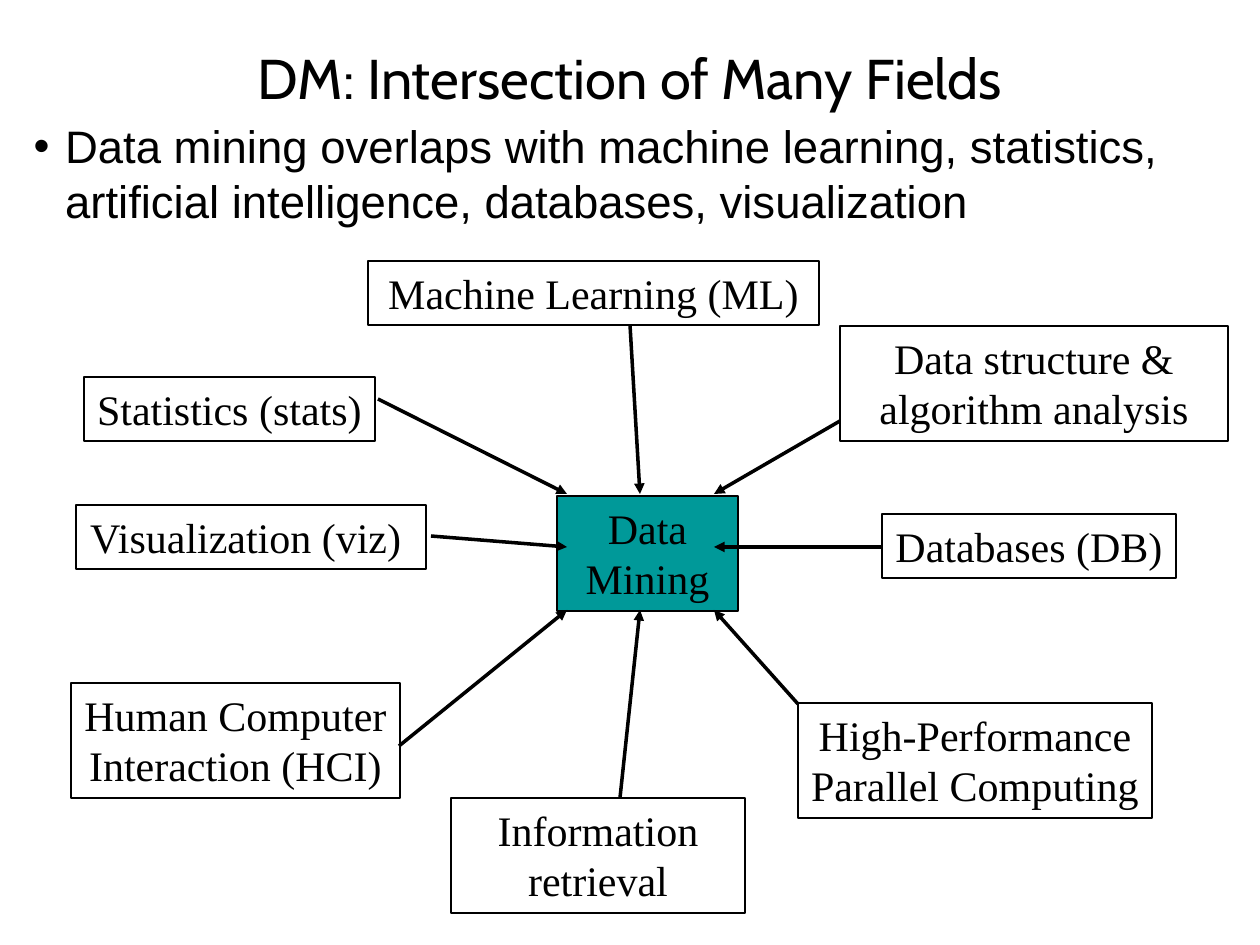
"""Build a slide showing data mining as the meeting point of many fields."""
from typing import NamedTuple, Optional

from lxml.etree import SubElement
from pptx import Presentation
from pptx.dml.color import RGBColor
from pptx.enum.shapes import MSO_CONNECTOR, MSO_SHAPE
from pptx.enum.text import MSO_ANCHOR, MSO_AUTO_SIZE, PP_ALIGN
from pptx.oxml.ns import qn
from pptx.util import Emu, Pt

PIXELS_PER_INCH = 126
BLACK = RGBColor(0x00, 0x00, 0x00)
TEAL = RGBColor(0x00, 0x99, 0x99)


class Box(NamedTuple):
    text: str
    left: int
    top: int
    width: int
    height: int
    wrap: bool = True
    fill: Optional[RGBColor] = None


class Arrow(NamedTuple):
    start_x: int
    start_y: int
    end_x: int
    end_y: int


ONE_LINE, TWO_LINES = 64, 115
HUB_LEFT, HUB_CENTER, HUB_RIGHT = 567, 640, 714
HUB_TOP, HUB_MIDDLE, HUB_BOTTOM = 494, 547, 610

BOXES = [
    Box("Data\nMining", 557, 496, 181, TWO_LINES, fill=TEAL),
    Box("Machine Learning (ML)", 368, 261, 451, ONE_LINE),
    Box("Databases (DB)", 882, 514, 294, ONE_LINE, wrap=False),
    Box("Statistics (stats)", 84, 377, 291, ONE_LINE, wrap=False),
    Box("Data structure & algorithm analysis", 840, 326, 388, TWO_LINES),
    Box("Human Computer\nInteraction (HCI)", 71, 683, 329, TWO_LINES, wrap=False),
    Box("Visualization (viz) ", 76, 505, 350, ONE_LINE, wrap=False),
    Box("High-Performance\nParallel Computing", 798, 703, 354, TWO_LINES, wrap=False),
    Box("Information retrieval", 451, 798, 294, TWO_LINES),
]

ARROWS = [
    Arrow(378, 399, HUB_LEFT, HUB_TOP),
    Arrow(431, 536, HUB_LEFT, HUB_MIDDLE),
    Arrow(399, 746, HUB_LEFT, HUB_BOTTOM),
    Arrow(630, 325, HUB_CENTER, HUB_TOP),
    Arrow(840, 421, HUB_RIGHT, HUB_TOP),
    Arrow(882, 547, HUB_RIGHT, HUB_MIDDLE),
    Arrow(798, 704, HUB_RIGHT, HUB_BOTTOM),
    Arrow(620, 798, HUB_CENTER, HUB_BOTTOM),
]


def px(length: int) -> Emu:
    return Emu(round(length * 914400 / PIXELS_PER_INCH))


def place(shape, left: int, top: int, width: int, height: int) -> None:
    shape.left, shape.top = px(left), px(top)
    shape.width, shape.height = px(width), px(height)


def format_text(text_frame, font_name: str, size: int, alignment: PP_ALIGN) -> None:
    for paragraph in text_frame.paragraphs:
        paragraph.alignment = alignment
        paragraph.space_before = Pt(0)
        for run in paragraph.runs:
            run.font.name = font_name
            run.font.size = Pt(size)
            run.font.color.rgb = BLACK


def add_title(slide, text: str) -> None:
    title = slide.shapes.title
    place(title, 63, 38, 1134, 78)
    title.text_frame.text = text
    title.text_frame.vertical_anchor = MSO_ANCHOR.MIDDLE
    format_text(title.text_frame, "Cabin", 32, PP_ALIGN.CENTER)


def add_bullet(slide, text: str) -> None:
    body = slide.placeholders[1]
    place(body, 21, 112, 1207, 123)
    text_frame = body.text_frame
    text_frame.text = text
    text_frame.auto_size = MSO_AUTO_SIZE.SHAPE_TO_FIT_TEXT
    format_text(text_frame, "Arial", 26, PP_ALIGN.LEFT)
    properties = text_frame.paragraphs[0]._p.get_or_add_pPr()
    properties.set("marL", "228600")
    properties.set("indent", "-228600")
    SubElement(properties, qn("a:buChar")).set("char", "•")


def add_box(slide, box: Box) -> None:
    shape = slide.shapes.add_shape(MSO_SHAPE.RECTANGLE, 0, 0, 0, 0)
    place(shape, box.left, box.top, box.width, box.height)
    shape.shadow.inherit = False
    if box.fill is None:
        shape.fill.background()
    else:
        shape.fill.solid()
        shape.fill.fore_color.rgb = box.fill
    shape.line.color.rgb = BLACK
    shape.line.width = Pt(0.75)
    text_frame = shape.text_frame
    text_frame.text = box.text
    text_frame.word_wrap = box.wrap
    text_frame.auto_size = MSO_AUTO_SIZE.SHAPE_TO_FIT_TEXT
    text_frame.vertical_anchor = MSO_ANCHOR.TOP
    format_text(text_frame, "Times New Roman", 24, PP_ALIGN.CENTER)


def add_arrow(slide, arrow: Arrow) -> None:
    connector = slide.shapes.add_connector(MSO_CONNECTOR.STRAIGHT, *map(px, arrow))
    connector.line.color.rgb = BLACK
    connector.line.width = Pt(2)
    SubElement(connector.line._get_or_add_ln(), qn("a:tailEnd")).set("type", "triangle")
    SubElement(connector._element.spPr, qn("a:effectLst"))


def main() -> None:
    presentation = Presentation()
    presentation.slide_width, presentation.slide_height = px(1260), px(945)
    slide = presentation.slides.add_slide(presentation.slide_layouts[1])
    add_title(slide, "DM: Intersection of Many Fields")
    add_bullet(
        slide,
        "Data mining overlaps with machine learning, statistics, "
        "artificial intelligence, databases, visualization",
    )
    for box in BOXES:
        add_box(slide, box)
    for arrow in ARROWS:
        add_arrow(slide, arrow)
    presentation.save("out.pptx")


if __name__ == "__main__":
    main()
